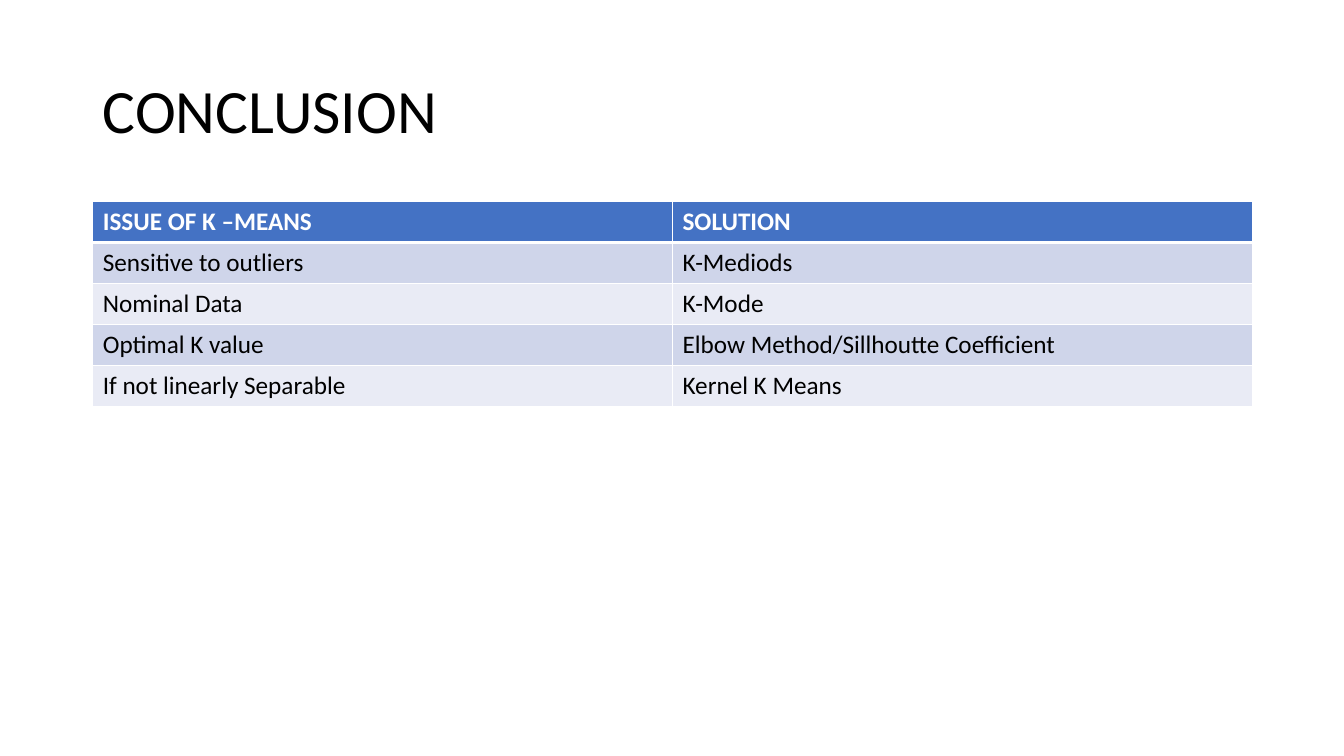
"""Build the conclusion slide pairing K-means issues with their solutions."""
from typing import NamedTuple

from lxml.etree import SubElement
from pptx import Presentation
from pptx.dml.color import RGBColor
from pptx.enum.text import MSO_ANCHOR, PP_ALIGN
from pptx.oxml.ns import qn
from pptx.slide import Slide
from pptx.table import _Cell as Cell
from pptx.text.text import Font
from pptx.util import Emu, Pt

EMU_PER_PX = 9144
FONT = "Calibri"
COLORS = {
    "text": "000000",
    "white": "FFFFFF",
    "header": "4472C4",
    "odd_row": "CFD5EA",
    "even_row": "E9EBF5",
}
LEFT, WIDTH = 92, 1150
TITLE_TOP, TITLE_HEIGHT = 40, 145
TABLE_TOP, TABLE_HEIGHT = 200, 203
THIN, THICK = 1, 3


class Row(NamedTuple):
    issue: str
    solution: str


ROWS = [
    Row("ISSUE OF K –MEANS", "SOLUTION"),
    Row("Sensitive to outliers", "K-Mediods"),
    Row("Nominal Data", "K-Mode"),
    Row("Optimal K value", "Elbow Method/Sillhoutte Coefficient"),
    Row("If not linearly Separable", "Kernel K Means"),
]


def px(length: int) -> Emu:
    return Emu(length * EMU_PER_PX)


def rgb(name: str) -> RGBColor:
    return RGBColor.from_string(COLORS[name])


def format_font(font: Font, size: int, color: str, bold: bool = False) -> None:
    font.name = FONT
    font.size = Pt(size)
    font.bold = bold
    font.color.rgb = rgb(color)


def add_borders(cell: Cell, top: int, bottom: int) -> None:
    properties = cell._tc.get_or_add_tcPr()
    widths = {"a:lnL": THIN, "a:lnR": THIN, "a:lnT": top, "a:lnB": bottom}
    for tag, width in widths.items():
        line = SubElement(properties, qn(tag), w=str(Pt(width)))
        fill = SubElement(line, qn("a:solidFill"))
        SubElement(fill, qn("a:srgbClr"), val=COLORS["white"])


def add_title(slide: Slide, text: str) -> None:
    title = slide.shapes.title
    title.left, title.top = px(LEFT), px(TITLE_TOP)
    title.width, title.height = px(WIDTH), px(TITLE_HEIGHT)
    title.text_frame.text = text
    title.text_frame.vertical_anchor = MSO_ANCHOR.MIDDLE
    paragraph = title.text_frame.paragraphs[0]
    paragraph.alignment = PP_ALIGN.LEFT
    paragraph.line_spacing = 0.9
    format_font(paragraph.runs[0].font, 44, "text")


def format_cell(cell: Cell, text: str, row_index: int) -> None:
    is_header = row_index == 0
    band = "odd_row" if row_index % 2 else "even_row"
    add_borders(
        cell,
        top=THICK if row_index == 1 else THIN,
        bottom=THICK if is_header else THIN,
    )
    cell.fill.solid()
    cell.fill.fore_color.rgb = rgb("header" if is_header else band)
    cell.text_frame.text = text
    font = cell.text_frame.paragraphs[0].runs[0].font
    format_font(font, 18, "white" if is_header else "text", is_header)


def add_solutions_table(slide: Slide, rows: list[Row]) -> None:
    table = slide.shapes.add_table(
        len(rows), len(Row._fields),
        px(LEFT), px(TABLE_TOP), px(WIDTH), px(TABLE_HEIGHT),
    ).table
    for row_index, row in enumerate(rows):
        for column_index, text in enumerate(row):
            format_cell(table.cell(row_index, column_index), text, row_index)


def main() -> None:
    presentation = Presentation()
    presentation.slide_width, presentation.slide_height = px(1333), px(750)
    title_only = presentation.slide_layouts.get_by_name("Title Only")
    slide = presentation.slides.add_slide(title_only)
    add_title(slide, "CONCLUSION")
    add_solutions_table(slide, ROWS)
    presentation.save("out.pptx")


if __name__ == "__main__":
    main()
